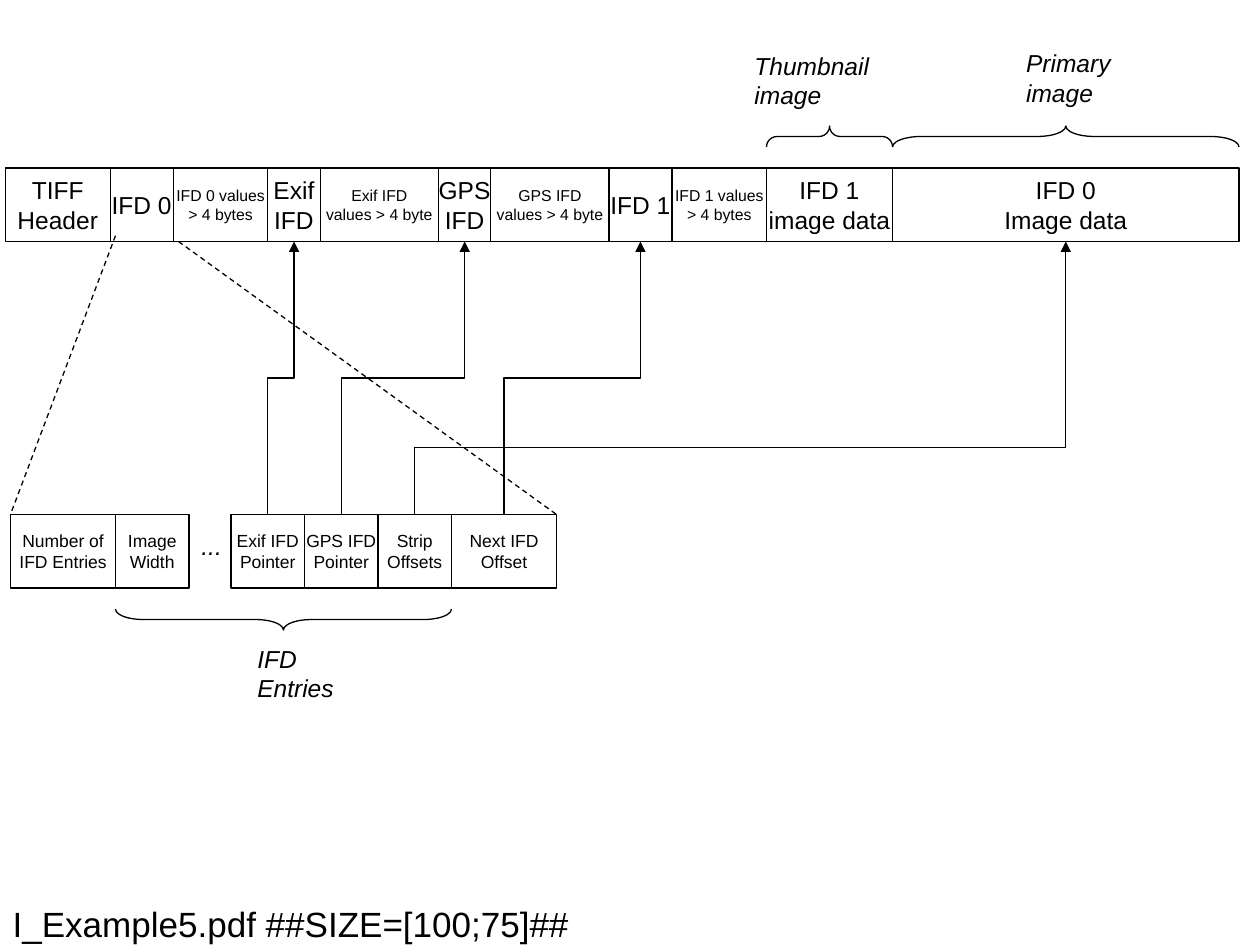
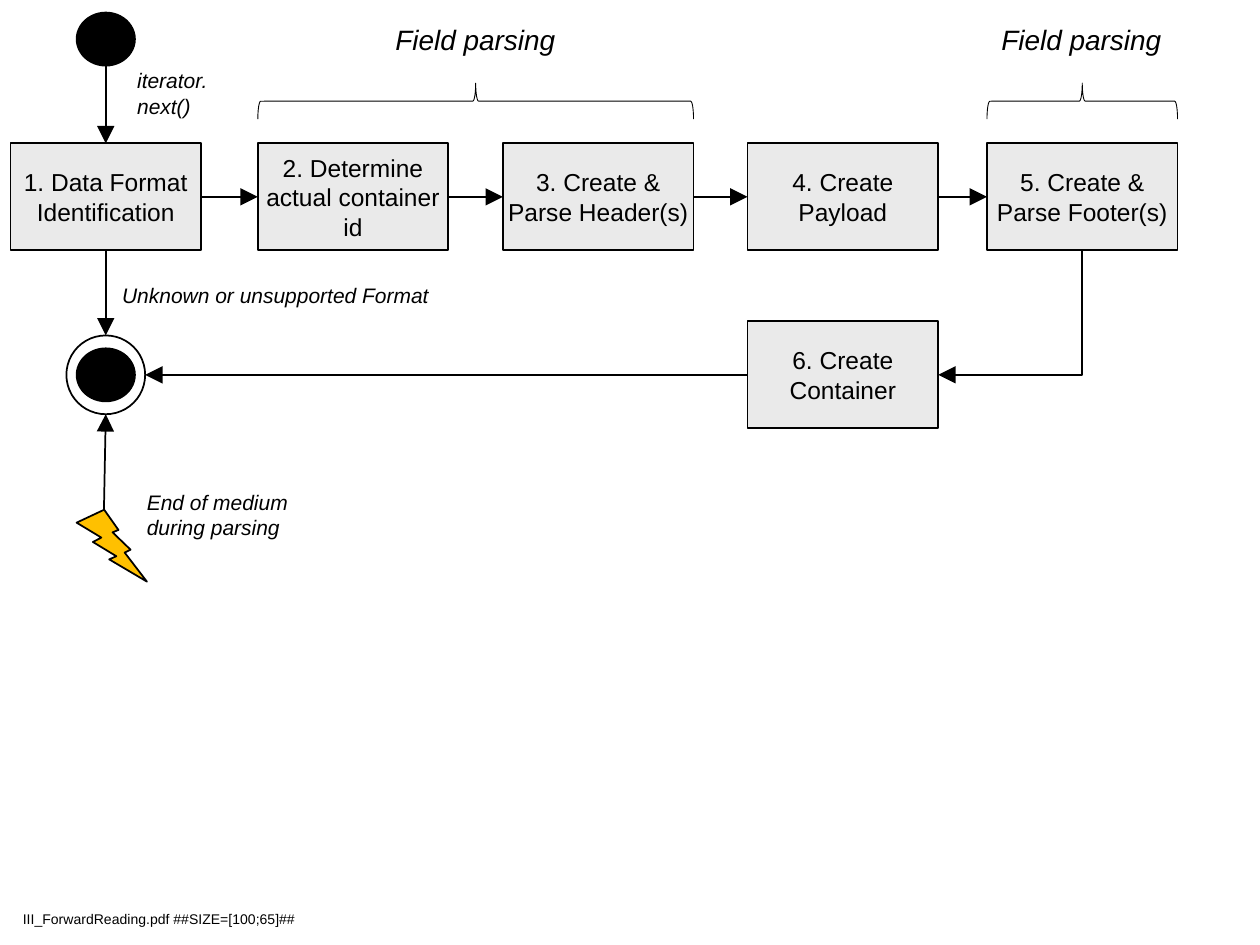
from typing import NamedTuple, Optional, Union

from lxml.etree import SubElement
from pptx import Presentation
from pptx.dml.color import RGBColor
from pptx.enum.dml import MSO_LINE
from pptx.enum.shapes import MSO_CONNECTOR as CXN, MSO_SHAPE as SHAPE
from pptx.enum.text import MSO_ANCHOR as ANCHOR, MSO_AUTO_SIZE as AUTO, PP_ALIGN as ALIGN
from pptx.oxml.ns import qn
from pptx.util import Inches, Pt

COLORS = {"ink": "000000", "paper": "FFFFFF", "step": "EAEAEA", "bolt": "FFC000"}
FONT = "Arial"
COLS, ROWS = 480, 360  # both slides share a grid of 1/48 inch
UNIT = Inches(10) / COLS
TOP, LEFT, BOTTOM, RIGHT = range(4)


class Box(NamedTuple):
    x: float
    y: float
    w: float
    h: float


class Point(NamedTuple):
    x: float
    y: float


class Site(NamedTuple):
    """Middle of one side of a shape."""
    shape: object
    side: int


class Field(NamedTuple):
    label: str
    width: float
    size: int


class Caption(NamedTuple):
    text: str
    box: Box
    size: int
    wrap: bool = False


class Brace(NamedTuple):
    box: Box
    curve: float
    width: float
    points_up: bool = True


End = Union[Point, Site]

TIFF_FIELDS = [
    Field("TIFF\nHeader", 40, 14),
    Field("IFD 0", 24, 14),
    Field("IFD 0 values\n> 4 bytes", 36, 9),
    Field("Exif\nIFD", 20, 14),
    Field("Exif IFD\nvalues > 4 byte", 45, 9),
    Field("GPS\nIFD", 20, 14),
    Field("GPS IFD\nvalues > 4 byte", 45, 9),
    Field("IFD 1", 24, 14),
    Field("IFD 1 values\n> 4 bytes", 36, 9),
    Field("IFD 1\nimage data", 48, 14),
    Field("IFD 0\nImage data", 132, 14),
]
FIRST_ENTRIES = [
    Field("Number of\vIFD Entries", 40, 10),
    Field("Image\vWidth", 28, 10),
]
LAST_ENTRIES = [
    Field("Exif IFD\vPointer", 28, 10),
    Field("GPS IFD\vPointer", 28, 10),
    Field("Strip\vOffsets", 28, 10),
    Field("Next IFD\vOffset", 40, 10),
]
LAYOUT_BRACES = [
    Brace(Box(292, 48, 48, 8), 0.5, 0.75),
    Brace(Box(340, 48, 132, 8), 1.36, 0.75),
    Brace(Box(44, 232, 128, 8), 1.33, 0.75, points_up=False),
]
LAYOUT_CAPTIONS = [
    Caption("Thumbnail\vimage", Box(282.7, 17, 55, 27.4), 14),
    Caption("Primary\vimage", Box(386.2, 16, 44, 27.4), 14),
    Caption("...", Box(72, 200, 18, 16.3), 14),
    Caption("IFD\vEntries", Box(93.3, 242.9, 42, 27.4), 14),
]

STEP_W, STEP_H, STEP_Y, CONTAINER_Y = 72.6, 40.8, 54.6, 122.4
STEPS = [
    ("1. Data Format Identification", 4),
    ("2. Determine actual container id", 98.2),
    ("3. Create & Parse Header(s)", 191.6),
    ("4. Create Payload", 284.8),
    ("5. Create & Parse Footer(s)", 376),
]
READING_BRACES = [
    Brace(Box(98.2, 31.7, 166, 13.7), 0.08, 0.5),
    Brace(Box(376, 31.7, STEP_W, 13.7), 0.08, 0.5),
]
READING_CAPTIONS = [
    Caption("Field parsing", Box(145.9, 6.2, 70.6, 17.8), 16),
    Caption("Field parsing", Box(376.8, 6.2, 70.6, 17.8), 16),
    Caption("iterator.next()", Box(47.5, 23.5, 39.4, 24), 12, wrap=True),
    Caption("Unknown or unsupported Format", Box(41.8, 105.1, 136.8, 14.4), 12, wrap=True),
    Caption("End of medium\vduring parsing", Box(51.2, 184, 64, 24), 12, wrap=True),
]


def emu(value: float) -> int:
    return round(value * UNIT)


def place(box: Box) -> list[int]:
    return [emu(v) for v in box]


def color(name: str) -> RGBColor:
    return RGBColor.from_string(COLORS[name])


def write(sp, text: str, size: int, align=ALIGN.LEFT, italic: bool = False) -> None:
    tf = sp.text_frame
    tf.text = text
    for p in tf.paragraphs:
        p.alignment = align
        for r in p.runs:
            r.font.size, r.font.name, r.font.italic = Pt(size), FONT, italic
            r.font.color.rgb = color("ink")


def outline(sp, width: float) -> None:
    sp.line.color.rgb = color("ink")
    sp.line.width = Pt(width)


def add_shape(slide, kind, box: Box, width: float, fill: Optional[str] = None):
    sp = slide.shapes.add_shape(kind, *place(box))
    sp.shadow.inherit = False
    if fill:
        sp.fill.solid()
        sp.fill.fore_color.rgb = color(fill)
    else:
        sp.fill.background()
    outline(sp, width)
    return sp


def add_fields(slide, fields: list[Field], x: float, y: float) -> list:
    """Draw adjoining fields from left to right."""
    shapes = []
    for field in fields:
        sp = add_shape(slide, SHAPE.RECTANGLE, Box(x, y, field.width, 28), 0.75)
        write(sp, field.label, field.size, ALIGN.CENTER)
        sp.text_frame.word_wrap = False
        sp.text_frame.vertical_anchor = ANCHOR.MIDDLE
        shapes.append(sp)
        x += field.width
    return shapes


def add_step(slide, label: str, x: float, y: float):
    sp = add_shape(slide, SHAPE.RECTANGLE, Box(x, y, STEP_W, STEP_H), 1, "step")
    write(sp, label, 14, ALIGN.CENTER)
    tf = sp.text_frame
    tf.word_wrap, tf.vertical_anchor = True, ANCHOR.MIDDLE
    tf.margin_left = tf.margin_right = Inches(0.04)
    return sp


def add_disc(slide, center: Point, w: float, h: float, fill: str):
    box = Box(center.x - w / 2, center.y - h / 2, w, h)
    return add_shape(slide, SHAPE.OVAL, box, 1, fill)


def add_brace(slide, brace: Brace) -> None:
    """Turn an upright brace so that it spans the width of its box."""
    x, y, w, h = brace.box
    upright = Box(x + (w - h) / 2, y + (h - w) / 2, h, w)
    sp = add_shape(slide, SHAPE.LEFT_BRACE, upright, brace.width)
    sp.adjustments[0] = brace.curve
    sp.rotation = 90 if brace.points_up else 270


def add_caption(slide, caption: Caption, italic: bool = True):
    sp = slide.shapes.add_textbox(*place(caption.box))
    write(sp, caption.text, caption.size, italic=italic)
    sp.text_frame.word_wrap = caption.wrap
    # Unwrapped captions keep the width and left edge of their box.
    sp.text_frame.auto_size = AUTO.SHAPE_TO_FIT_TEXT if caption.wrap else AUTO.NONE
    return sp


def position(end: End) -> tuple[int, int]:
    if isinstance(end, Point):
        return emu(end.x), emu(end.y)
    sp = end.shape
    dx, dy = {TOP: (1, 0), LEFT: (0, 1), BOTTOM: (1, 2), RIGHT: (2, 1)}[end.side]
    return sp.left + sp.width * dx // 2, sp.top + sp.height * dy // 2


def finish(cxn, width: float, head: Optional[str] = "lg", dashed: bool = False) -> None:
    """Style a connector; head is the arrowhead size, or None for a plain end."""
    outline(cxn, width)
    if dashed:
        cxn.line.dash_style = MSO_LINE.DASH
    sp_pr = cxn.element.spPr
    if head:
        SubElement(sp_pr.find(qn("a:ln")), qn("a:tailEnd"), type="triangle", w=head, len=head)
    SubElement(sp_pr, qn("a:effectLst"))


def add_line(slide, start: End, end: End, width: float = 1,
             head: Optional[str] = "lg", dashed: bool = False) -> None:
    cxn = slide.shapes.add_connector(CXN.STRAIGHT, *position(start), *position(end))
    if isinstance(start, Site):
        cxn.begin_connect(*start)
    if isinstance(end, Site):
        cxn.end_connect(*end)
    finish(cxn, width, head, dashed)


def add_elbow(slide, start: Site, end: Site, width: float, head: str,
              bend: Optional[float] = None) -> None:
    """Draw an arrow that leaves vertically; without a bend share it has one corner."""
    (x1, y1), (x2, y2) = position(start), position(end)
    cx, cy = (x1 + x2) // 2, (y1 + y2) // 2
    # The ends are given as they lie before the quarter turn.
    cxn = slide.shapes.add_connector(CXN.ELBOW, cx + y1 - cy, cy - x1 + cx,
                                     cx + y2 - cy, cy - x2 + cx)
    sp_pr = cxn.element.spPr
    sp_pr.find(qn("a:xfrm")).set("rot", str(90 * 60000))
    geometry = sp_pr.find(qn("a:prstGeom"))
    if bend is None:
        geometry.set("prst", "bentConnector2")
    else:
        guides = geometry.find(qn("a:avLst"))
        if guides is None:
            guides = SubElement(geometry, qn("a:avLst"))
        SubElement(guides, qn("a:gd"), name="adj1", fmla=f"val {round(bend * 100000)}")
    finish(cxn, width, head)


def build_file_layout(prs) -> None:
    slide = prs.slides.add_slide(prs.slide_layouts[5])
    title = slide.shapes.title
    title.left, title.top, title.width, title.height = place(Box(0, 344, 408, 15.6))
    write(title, "I_Example5.pdf ##SIZE=[100;75]##", 20)
    title.text_frame.vertical_anchor = ANCHOR.MIDDLE
    title.text_frame.auto_size = AUTO.NONE

    tiff = add_fields(slide, TIFF_FIELDS, 2, 64)
    add_fields(slide, FIRST_ENTRIES, 4, 196)
    exif, gps, strip, next_ifd = add_fields(slide, LAST_ENTRIES, 88, 196)
    for brace in LAYOUT_BRACES:
        add_brace(slide, brace)
    for caption in LAYOUT_CAPTIONS:
        add_caption(slide, caption)
    for start, end in [(Point(44, 89.8), Point(4, 196)), (Point(68, 92), Point(212, 196))]:
        add_line(slide, start, end, 0.75, head=None, dashed=True)
    for pointer, target, bend in [(exif, 3, 0.5), (gps, 5, 0.5),
                                  (next_ifd, 7, 0.5), (strip, 10, 0.245)]:
        add_elbow(slide, Site(pointer, TOP), Site(tiff[target], BOTTOM), 0.75, "med", bend)


def build_forward_reading(prs) -> None:
    slide = prs.slides.add_slide(prs.slide_layouts[6])
    steps = [add_step(slide, label, x, STEP_Y) for label, x in STEPS]
    container = add_step(slide, "6. Create Container", STEPS[3][1], CONTAINER_Y)
    for brace in READING_BRACES:
        add_brace(slide, brace)
    for caption in READING_CAPTIONS:
        add_caption(slide, caption)

    axis, final_y, radius = STEPS[0][1] + STEP_W / 2, CONTAINER_Y + STEP_H / 2, 15
    initial = Point(axis, 14.9)
    final = Point(axis, final_y)
    disc_w, disc_h = 22.2, 20.2
    add_disc(slide, initial, disc_w, disc_h, "ink")
    ring = add_disc(slide, final, 2 * radius, 2 * radius, "paper")
    add_disc(slide, final, disc_w, disc_h, "ink")
    add_shape(slide, SHAPE.LIGHTNING_BOLT, Box(29.2, 194.2, 26.8, 27.4), 1, "bolt")

    for before, after in zip(steps, steps[1:]):
        add_line(slide, Site(before, RIGHT), Site(after, LEFT))
    add_line(slide, Point(axis, initial.y + disc_h / 2), Site(steps[0], TOP))
    add_line(slide, Site(steps[0], BOTTOM), Site(ring, TOP))
    add_line(slide, Site(container, LEFT), Point(axis + radius, final_y))
    add_line(slide, Point(39.6, 194.4), Point(axis, final_y + radius))
    add_elbow(slide, Site(steps[4], BOTTOM), Site(container, RIGHT), 1, "lg")

    footer = Caption("III_ForwardReading.pdf ##SIZE=[100;65]##", Box(4, 344, 476, 12), 8, wrap=True)
    tf = add_caption(slide, footer, italic=False).text_frame
    tf.vertical_anchor, tf.auto_size = ANCHOR.MIDDLE, AUTO.NONE


def main() -> None:
    prs = Presentation()
    prs.slide_width, prs.slide_height = emu(COLS), emu(ROWS)
    build_file_layout(prs)
    build_forward_reading(prs)
    prs.save("out.pptx")


if __name__ == "__main__":
    main()
